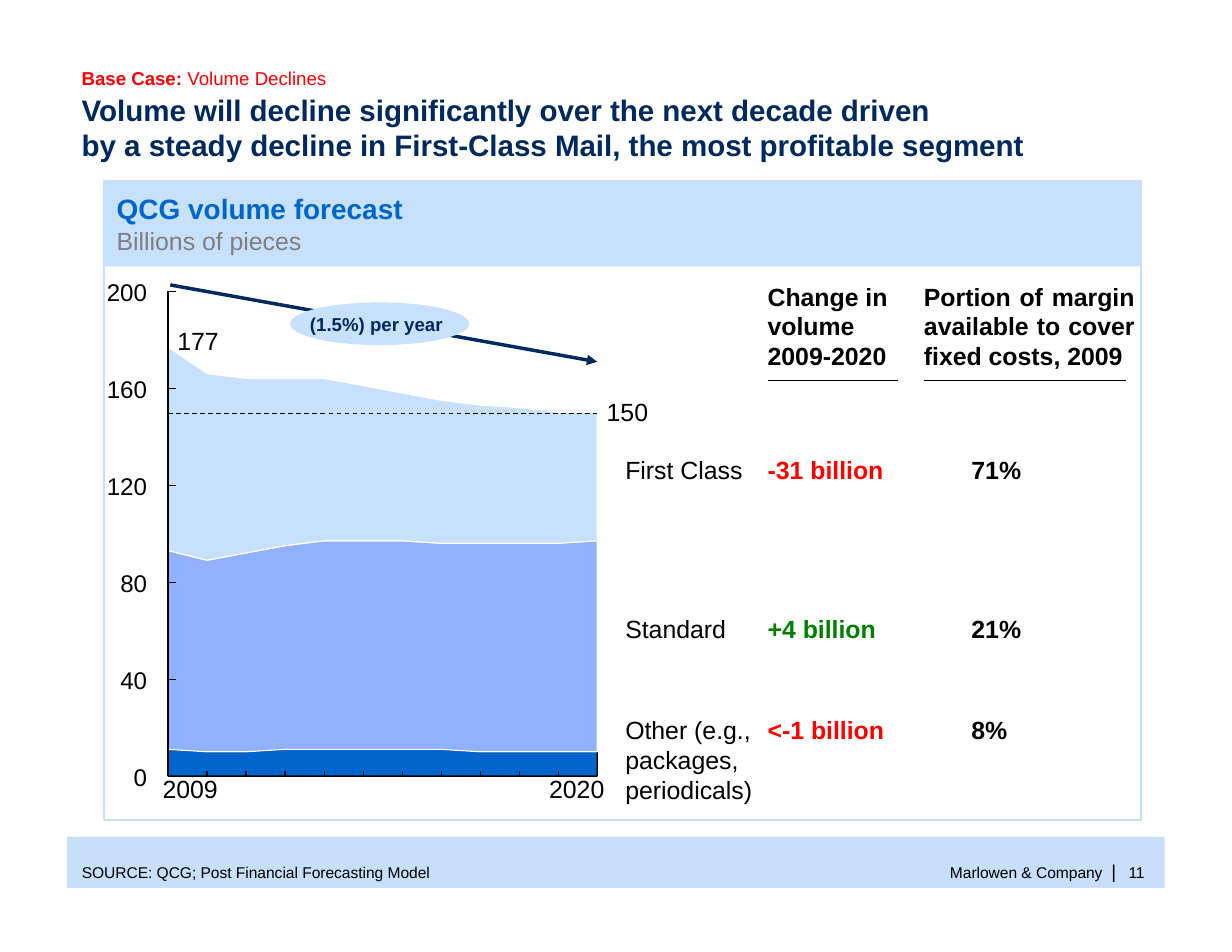
from lxml.etree import SubElement
from pptx import Presentation
from pptx.chart.data import CategoryChartData
from pptx.dml.color import RGBColor
from pptx.enum.chart import XL_CHART_TYPE as ChartType, XL_TICK_LABEL_POSITION as LabelPosition
from pptx.enum.chart import XL_TICK_MARK as TickMark
from pptx.enum.dml import MSO_LINE
from pptx.enum.shapes import MSO_CONNECTOR, MSO_SHAPE
from pptx.enum.text import MSO_ANCHOR, PP_ALIGN
from pptx.oxml.ns import qn
from pptx.util import Pt

FONT = "Arial"
COLORS = {
    "black": "000000", "white": "FFFFFF", "gray": "7F7F7F", "red": "FF0000",
    "green": "008000", "navy": "002960", "blue": "0065CC",
    "lavender": "91B0FF", "pale": "C7E0FB", "footer": "C7DFFB",
}
YEARS = range(2009, 2021)
AXIS_MAXIMUM, AXIS_STEP = 200, 40
VOLUMES = {
    "Other": ("blue", "black", (11, 10, 10, 11, 11, 11, 11, 11, 10, 10, 10, 10)),
    "Standard": ("lavender", "white", (82, 79, 82, 84, 86, 86, 86, 85, 86, 86, 86, 87)),
    "First Class": ("pale", "white", (84, 77, 72, 69, 67, 64, 61, 59, 57, 56, 54, 53)),
}
SEGMENTS = [
    ("First Class", "-31 billion", "red", "71%", 291.5),
    ("Standard", "+4 billion", "green", "21%", 393.5),
    ("Other (e.g., packages, periodicals)", "<-1 billion", "red", "8%", 458.5),
]


def color(name):
    """Return the named colour."""
    return RGBColor.from_string(COLORS[name])


def points(*values):
    """Convert numbers of points to lengths."""
    return [Pt(value) for value in values]


def style(font, size, name, bold=False):
    """Format a font."""
    font.name, font.size, font.bold = FONT, Pt(size), bold
    font.color.rgb = color(name)


def add_runs(paragraph, runs):
    """Fill a paragraph with (text, size, colour, bold) runs."""
    for text, *look in runs:
        run = paragraph.add_run()
        run.text = text
        style(run.font, *look)


def add_text(slide, box, *lines, align=PP_ALIGN.LEFT, spacing=None):
    """Add a wrapping text box with one paragraph for each list of runs."""
    frame = slide.shapes.add_textbox(*points(*box)).text_frame
    frame.word_wrap = True
    frame.margin_left = frame.margin_right = frame.margin_bottom = 0
    frame.margin_top = Pt(0.8)
    for index, runs in enumerate(lines):
        paragraph = frame.paragraphs[0] if index == 0 else frame.add_paragraph()
        paragraph.alignment = align
        if spacing:
            paragraph.line_spacing = Pt(spacing)
        add_runs(paragraph, runs)


def add_block(slide, kind, box, fill=None, line=None):
    """Add a flat preset shape."""
    shape = slide.shapes.add_shape(kind, *points(*box))
    shape.shadow.inherit = False
    if fill:
        shape.fill.solid()
        shape.fill.fore_color.rgb = color(fill)
    else:
        shape.fill.background()
    if line:
        shape.line.color.rgb = color(line)
        shape.line.width = Pt(1.5)
    else:
        shape.line.fill.background()
    return shape


def add_line(slide, start, end, name="black", width=0.75):
    """Add a straight connector without a shadow."""
    line = slide.shapes.add_connector(MSO_CONNECTOR.STRAIGHT, *points(*start, *end))
    line.line.color.rgb = color(name)
    line.line.width = Pt(width)
    SubElement(line._element.spPr, qn("a:effectLst"))
    return line


def draw_heading(slide, box):
    """Place the case label and the title."""
    left, top, width, height = box
    add_text(slide, (left, top, width, 16),
             [("Base Case: ", 12, "red", True), ("Volume Declines", 12, "red")])
    add_text(slide, (left, top + 15.7, width, height - 16),
             [("Volume will decline significantly over the next decade driven", 19, "navy", True)],
             [("by a steady decline in First-Class Mail, the most profitable segment",
               19, "navy", True)], spacing=22.8)


def draw_panel(slide, box):
    """Place the framed panel with its header band."""
    left, top, width, height = box
    add_block(slide, MSO_SHAPE.RECTANGLE, (left, top, width, 54.7), "pale")
    add_block(slide, MSO_SHAPE.RECTANGLE, box, line="pale")
    add_text(slide, (left + 8, top + 6, width - 16, 44),
             [("QCG volume forecast", 18, "blue", True)],
             [("Billions of pieces", 16, "gray")])


def set_plot_area(chart, fractions):
    """Fix the inner plot area as fractions of the chart frame."""
    plot_area = chart._chartSpace.chart.plotArea
    for layout in plot_area.findall(qn("c:layout")):
        plot_area.remove(layout)
    layout = plot_area.makeelement(qn("c:layout"))
    plot_area.insert(0, layout)
    manual = SubElement(layout, qn("c:manualLayout"))
    settings = [("layoutTarget", "inner"), ("xMode", "edge"), ("yMode", "edge")]
    settings += zip("xywh", fractions)
    for tag, value in settings:
        SubElement(manual, qn(f"c:{tag}")).set("val", str(value))


def draw_volume_chart(slide, box):
    """Place the stacked areas so that the plot fills the box."""
    left, top, width, height = box
    frame = (left - 12, top - 12, width + 24, height + 24)
    data = CategoryChartData()
    data.categories = [str(year) for year in YEARS]
    for name, (_, _, values) in VOLUMES.items():
        data.add_series(name, values)
    chart = slide.shapes.add_chart(ChartType.AREA_STACKED, *points(*frame), data).chart
    chart.has_legend = chart.has_title = False
    style(chart.font, 15.5, "black")
    set_plot_area(chart, (12 / frame[2], 12 / frame[3], width / frame[2], height / frame[3]))
    chart.plots[0].vary_by_categories = False
    for series, (fill, line, _) in zip(chart.plots[0].series, VOLUMES.values()):
        series.format.fill.solid()
        series.format.fill.fore_color.rgb = color(fill)
        series.format.line.color.rgb = color(line)
        series.format.line.width = Pt(0.75)
    value_axis = chart.value_axis
    value_axis.minimum_scale, value_axis.maximum_scale = 0, AXIS_MAXIMUM
    value_axis.major_unit = AXIS_STEP
    for axis in (value_axis, chart.category_axis):
        axis.has_major_gridlines = False
        axis.major_tick_mark = axis.minor_tick_mark = TickMark.NONE
        axis.tick_label_position = LabelPosition.NONE
        axis.format.line.fill.background()
    value_axis._element.find(qn("c:crossBetween")).set("val", "midCat")


def draw_scales(slide, box):
    """Place both axis lines with inside ticks and the value labels."""
    left, top, width, height = box
    bottom = top + height
    add_line(slide, (left, top), (left, bottom))
    add_line(slide, (left, bottom), (left + width, bottom))
    for value in range(0, AXIS_MAXIMUM + 1, AXIS_STEP):
        y = bottom - height * value / AXIS_MAXIMUM
        add_line(slide, (left, y), (left + 5, y))
        add_text(slide, (left - 48, y - 9.6, 34.5, 20),
                 [(str(value), 15.5, "black")], align=PP_ALIGN.RIGHT)
    for index in range(len(YEARS)):
        x = left + width * index / (len(YEARS) - 1)
        add_line(slide, (x, bottom), (x, bottom - 3.6))


def draw_chart_notes(slide, box):
    """Place the trend arrow, level line and labels around the plot."""
    left, top, width, height = box
    right, bottom = left + width, top + height
    level = bottom - height * 150 / AXIS_MAXIMUM
    arrow = add_line(slide, (left + 1.5, top - 4), (right, top + 45.4), "navy", 2.25)
    SubElement(arrow.line._get_or_add_ln(), qn("a:tailEnd")).set("type", "triangle")
    add_block(slide, MSO_SHAPE.OVAL, (left + 78.5, top + 7.2, 115.2, 27.4), "pale")
    add_text(slide, (left + 91.3, top + 13, 92, 16), [("(1.5%) per year", 12, "navy", True)])
    dashes = add_line(slide, (left, level + 0.5), (right, level + 0.5))
    dashes.line.dash_style = MSO_LINE.DASH
    labels = [("177", left + 6, top + 21.3), ("150", right + 6, level - 11),
              ("2009", left - 3.5, bottom - 2.3), ("2020", right - 31, bottom - 2.3)]
    for text, x, y in labels:
        add_text(slide, (x, y, 40, 21), [(text, 16, "black")])


def draw_segment_columns(slide, box):
    """Place the column headings and one row for each mail segment."""
    left, top, _, _ = box
    change, margin = left + 91.5, left + 192
    headings = [("Change in volume 2009-2020", change, 80, 83.5, PP_ALIGN.LEFT),
                ("Portion of margin available to cover fixed costs, 2009",
                 margin, 135.5, 130, PP_ALIGN.JUSTIFY)]
    for text, x, width, rule, align in headings:
        add_text(slide, (x, top, width, 60), [(text, 16, "black", True)], align=align)
        add_line(slide, (x, top + 64.5), (x + rule, top + 64.5))
    for name, delta, delta_color, share, y in SEGMENTS:
        add_text(slide, (left, y, 88, 21), [(name, 16, "black")])
        add_text(slide, (change, y, 90, 21), [(delta, 16, delta_color, True)])
        add_text(slide, (margin + 30.5, y, 40, 21), [(share, 16, "black", True)])


def draw_footer(slide, box):
    """Place the footer band with the source, firm and page number."""
    left, top, _, _ = box
    add_block(slide, MSO_SHAPE.RECTANGLE, box, "footer")
    parts = [("SOURCE: QCG; Post Financial Forecasting Model", 9.4, 16, 300, 10),
             ("Marlowen & Company", 567.5, 16, 104, 10),
             ("|", 671.3, 14.1, 8, 12),
             ("11", 682.3, 16, 20, 10)]
    for text, x, y, width, size in parts:
        add_text(slide, (left + x, top + y, width, 14), [(text, size, "black")])


def main():
    """Build and save the slide."""
    presentation = Presentation()
    presentation.slide_width, presentation.slide_height = points(792, 612)
    slide = presentation.slides.add_slide(presentation.slide_layouts[6])
    plot = (108, 187.2, 276, 311.8)
    draw_footer(slide, (43.2, 537.8, 705.6, 33.1))
    draw_panel(slide, (67, 116.6, 666.7, 410.4))
    draw_volume_chart(slide, plot)
    draw_scales(slide, plot)
    draw_chart_notes(slide, plot)
    draw_segment_columns(slide, (402, 180, 330, 340))
    draw_heading(slide, (52.5, 42.5, 640, 66))
    presentation.save("out.pptx")


if __name__ == "__main__":
    main()
